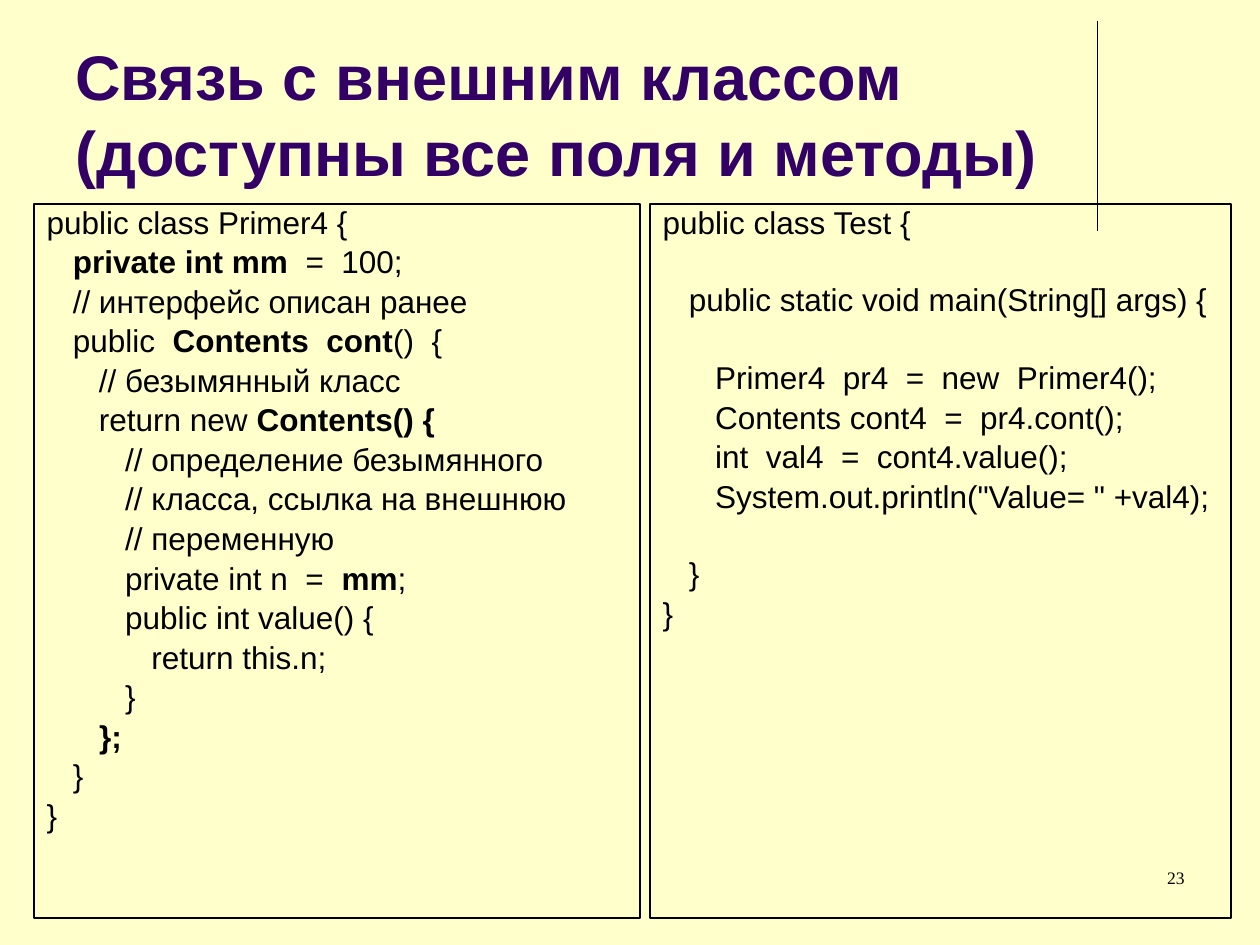
from dataclasses import dataclass

from lxml.etree import SubElement
from pptx import Presentation
from pptx.dml.color import RGBColor
from pptx.enum.shapes import MSO_CONNECTOR, MSO_SHAPE
from pptx.enum.text import MSO_ANCHOR, PP_ALIGN
from pptx.oxml.ns import qn
from pptx.slide import Slide
from pptx.text.text import Font
from pptx.util import Cm, Pt


@dataclass(frozen=True)
class Theme:
    background: RGBColor = RGBColor(0xFF, 0xFF, 0xCC)
    heading: RGBColor = RGBColor(0x33, 0x00, 0x66)
    ink: RGBColor = RGBColor(0, 0, 0)
    face: str = "Arial"
    number_face: str = "Times New Roman"
    heading_size: Pt = Pt(36)
    code_size: Pt = Pt(18)
    number_size: Pt = Pt(10)
    line_spacing: float = 0.8
    line_gap: Pt = Pt(5.3)
    blank_line: Pt = Pt(21.8)


@dataclass(frozen=True)
class Listing:
    left: float
    width: float
    code: str


THEME = Theme()
BOLD_MARK = "**"
LISTING_TOP, LISTING_HEIGHT = 4.11, 14.4

LISTINGS = (
    Listing(0.69, 12.22, """\
public class Primer4 {
   **private int mm**  =  100;
   // интерфейс описан ранее
   public  **Contents  cont**()  {
      // безымянный класс
      return new **Contents() {**
         // определение безымянного
         // класса, ссылка на внешнюю
         // переменную
         private int n  =  **mm**;
         public int value() {
            return this.n;
         }
      **};**
   }
}"""),
    Listing(13.11, 11.71, """\
public class Test {

   public static void main(String[] args) {

      Primer4  pr4  =  new  Primer4();
      Contents cont4  =  pr4.cont();
      int  val4  =  cont4.value();
      System.out.println("Value= " +val4);

   }
}"""),
)


def style(font: Font, face: str, size: Pt, color: RGBColor) -> None:
    font.name, font.size = face, size
    font.color.rgb = color


def draw_rule(slide: Slide, x: float, top: float, bottom: float) -> None:
    rule = slide.shapes.add_connector(
        MSO_CONNECTOR.STRAIGHT, Cm(x), Cm(top), Cm(x), Cm(bottom))
    rule.line.color.rgb = THEME.ink
    rule.line.width = Pt(0.75)
    SubElement(rule._element.spPr, qn("a:effectLst"))


def draw_heading(slide: Slide, text: str) -> None:
    heading = slide.shapes.add_textbox(Cm(1.27), Cm(0.33), Cm(20.96), Cm(3.61))
    frame = heading.text_frame
    frame.word_wrap = True
    frame.vertical_anchor = MSO_ANCHOR.BOTTOM
    frame.text = text
    font = frame.paragraphs[0].font
    style(font, THEME.face, THEME.heading_size, THEME.heading)
    font.bold = True


def draw_listing(slide: Slide, listing: Listing) -> None:
    panel = slide.shapes.add_shape(
        MSO_SHAPE.RECTANGLE, Cm(listing.left), Cm(LISTING_TOP),
        Cm(listing.width), Cm(LISTING_HEIGHT))
    panel.shadow.inherit = False
    panel.fill.background()
    panel.line.color.rgb = THEME.ink
    panel.line.width = Pt(1)
    frame = panel.text_frame
    frame.word_wrap = True
    frame.vertical_anchor = MSO_ANCHOR.TOP
    line, gap = frame.paragraphs[0], Pt(0)
    for number, code in enumerate(listing.code.split("\n")):
        if not code:
            gap += THEME.blank_line
            continue
        if number:
            line = frame.add_paragraph()
        line.alignment = PP_ALIGN.LEFT
        line.line_spacing = THEME.line_spacing
        line.space_before = gap
        style(line.font, THEME.face, THEME.code_size, THEME.ink)
        for index, part in enumerate(code.split(BOLD_MARK)):
            if part:
                run = line.add_run()
                run.text = part
                if index % 2:
                    run.font.bold = True
        gap = THEME.line_gap


def draw_number(slide: Slide, number: str) -> None:
    page = slide.shapes.add_textbox(Cm(18.21), Cm(17.35), Cm(5.92), Cm(1.27))
    page.text_frame.word_wrap = True
    page.text_frame.text = number
    line = page.text_frame.paragraphs[0]
    line.alignment = PP_ALIGN.RIGHT
    style(line.font, THEME.number_face, THEME.number_size, THEME.ink)


def main() -> None:
    """Build the slide on linking an anonymous class to its outer class."""
    deck = Presentation()
    deck.slide_width, deck.slide_height = Cm(25.4), Cm(19.05)
    slide = deck.slides.add_slide(deck.slide_layouts[6])
    slide.background.fill.solid()
    slide.background.fill.fore_color.rgb = THEME.background
    draw_rule(slide, 22.12, 0.43, 4.65)
    draw_heading(slide, "Связь с внешним классом (доступны все поля и методы)")
    for listing in LISTINGS:
        draw_listing(slide, listing)
    draw_number(slide, "23")
    deck.save("out.pptx")


if __name__ == "__main__":
    main()
